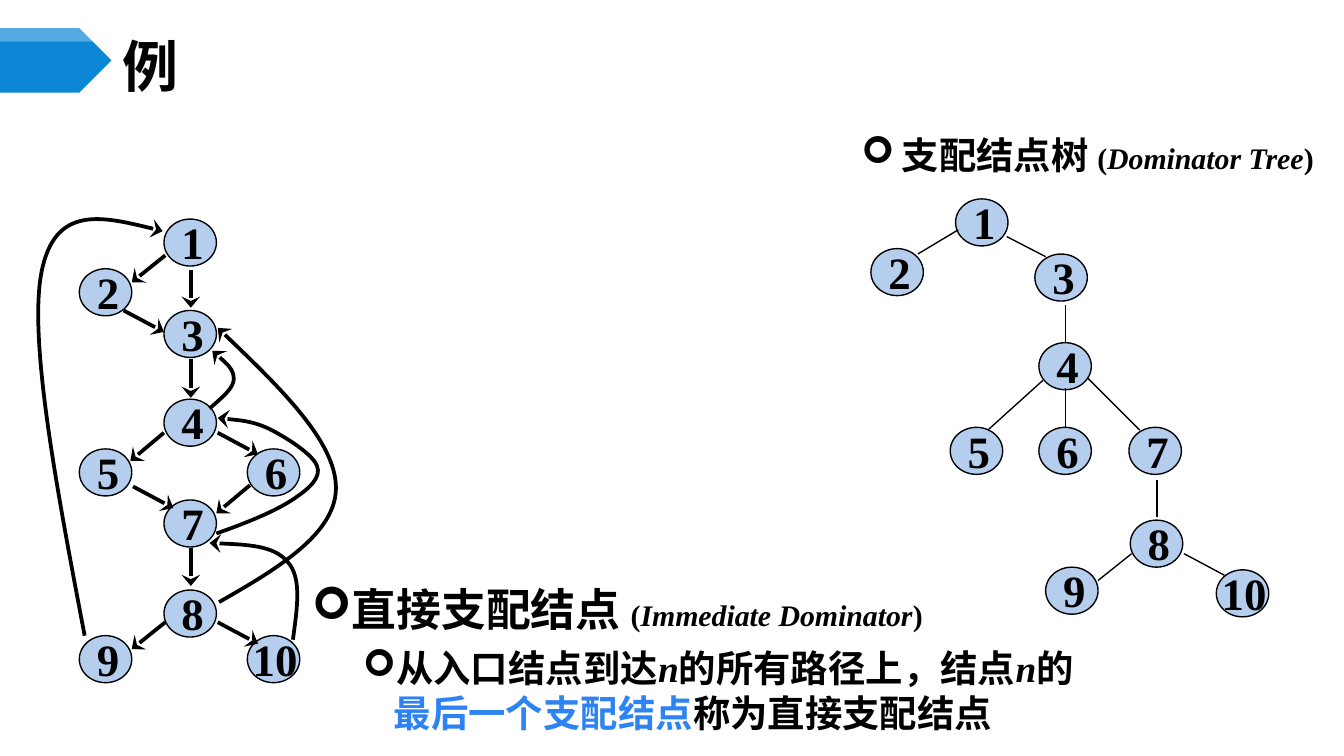
from lxml.etree import SubElement
from pptx import Presentation
from pptx.dml.color import RGBColor
from pptx.enum.shapes import MSO_CONNECTOR, MSO_SHAPE
from pptx.enum.text import MSO_ANCHOR
from pptx.oxml.ns import qn
from pptx.util import Inches, Pt

THEME = {
    "ink": RGBColor.from_string("000000"),
    "blue": RGBColor.from_string("0B87D6"),
    "white": RGBColor.from_string("FFFFFF"),
    "node": RGBColor.from_string("B5CEED"),
    "mark": RGBColor.from_string("2D83F4"),
    "title": Pt(30), "head": Pt(24), "body": Pt(20), "note": Pt(16),
    "hans": "Noto Sans CJK SC", "serif": "Times New Roman",
    "thick": Pt(2), "thin": Pt(0.75),
}

deck = Presentation()
deck.slide_width = Inches(10)
deck.slide_height = deck.slide_width * 9 // 16
slide = deck.slides.add_slide(deck.slide_layouts[6])
shapes = slide.shapes


def write(box, paras, anchor=MSO_ANCHOR.TOP):
    """Add a text box; each paragraph is (format, runs), each run (text, format)."""
    frame = shapes.add_textbox(*map(Inches, box)).text_frame
    margins = {"margin_left": 0.08, "margin_right": 0.08,
               "margin_top": 0.04, "margin_bottom": 0.04}
    for key, value in margins.items():
        setattr(frame, key, Inches(value))
    frame.word_wrap = True
    frame.vertical_anchor = anchor
    for i, (form, runs) in enumerate(paras):
        para = frame.paragraphs[0] if i == 0 else frame.add_paragraph()
        for key in ("space_before", "level"):
            if key in form:
                setattr(para, key, form[key])
        if "indent" in form:
            left, hang = form["indent"]
            props = para._p.get_or_add_pPr()
            props.set("marL", str(Inches(left)))
            props.set("indent", str(-Inches(hang)))
            tint = SubElement(props, qn("a:buClr"))
            SubElement(tint, qn("a:srgbClr"), val=str(THEME["ink"]))
            SubElement(props, qn("a:buFont"), typeface="Wingdings")
            SubElement(props, qn("a:buChar"), char="➢")
        for text, style in runs:
            run = para.add_run()
            run.text = text
            look = {"name": THEME["serif"], "bold": True, **style}
            run.font.color.rgb = look.pop("color", THEME["ink"])
            for key, value in look.items():
                setattr(run.font, key, value)
            SubElement(run._r.get_or_add_rPr(), qn("a:ea"), typeface=THEME["hans"])


def stroke(shape, width, arrow=False):
    shape.line.color.rgb = THEME["ink"]
    shape.line.width = width
    if arrow:
        SubElement(shape.line._get_or_add_ln(), qn("a:tailEnd"),
                   type="stealth", w="lg", len="med")


# Title banner
banner = [
    ("blue", [(0, 0.21), (0.59, 0.21), (0.83, 0.45), (0.59, 0.69), (0, 0.69)]),
    ("white", [(0, 0.21), (0.78, 0.21), (0.83, 0.26), (0.78, 0.31), (0, 0.31)]),
]
for color, points in banner:
    dots = [(Inches(x), Inches(y)) for x, y in points]
    pen = shapes.build_freeform(*dots[0])
    pen.add_line_segments(dots[1:])
    flag = pen.convert_to_shape()
    flag.shadow.inherit = False
    flag.fill.solid()
    flag.fill.fore_color.rgb = THEME[color]
    flag.line.fill.background()
glaze = flag._element.spPr.find(qn("a:solidFill")).find(qn("a:srgbClr"))
SubElement(glaze, qn("a:alpha"), val="30000")

# Text
hans = {"name": THEME["hans"]}
note = {"size": THEME["note"]}
body = {"size": THEME["body"]}
slant = {**body, "italic": True}
write((0.83, 0.29, 8.67, 0.39),
      [({}, [("例", {**hans, "size": THEME["title"]})])], MSO_ANCHOR.MIDDLE)
write((6.33, 0.94, 3.67, 0.55), [
    ({"indent": (0.3, 0.3)}, [
        ("支配结点树 ", {**hans, **body}), ("(", note),
        ("Dominator Tree", {**note, "italic": True}), (")", note)]),
])
write((2.24, 4.29, 6.08, 1.33), [
    ({"indent": (0.28, 0.28)}, [
        ("直接支配结点 ", {**hans, "size": THEME["head"]}), ("(", note),
        ("Immediate Dominator", {**note, "italic": True}), (")", note)]),
    ({"indent": (0.61, 0.23), "level": 1, "space_before": Pt(5)}, [
        ("从入口结点到达", body), ("n", slant), ("的所有路径上，结点", body),
        ("n", slant), ("的", body),
        ("最后一个支配结点", {**body, "color": THEME["mark"]}),
        ("称为直接支配结点", body)]),
])

# Nodes of the flow graph and of the dominator tree
west, mid, east = 0.59, 1.22, 1.84
flow = {1: (mid, 1.63), 2: (west, 2), 3: (mid, 2.31), 4: (mid, 2.97),
        5: (west, 3.34), 6: (east, 3.34), 7: (mid, 3.72), 8: (mid, 4.39),
        9: (west, 4.73), 10: (east, 4.73)}
tree = {1: (7.11, 1.48), 2: (6.48, 1.85), 3: (7.7, 1.89), 4: (7.73, 2.55),
        5: (7.07, 3.18), 6: (7.73, 3.18), 7: (8.4, 3.18), 8: (8.41, 3.87),
        9: (7.78, 4.22), 10: (9.05, 4.24)}
for graph in (flow, tree):
    for label, (x, y) in graph.items():
        node = shapes.add_shape(MSO_SHAPE.OVAL, Inches(x), Inches(y),
                                Inches(0.39), Inches(0.35))
        node.shadow.inherit = False
        node.fill.solid()
        node.fill.fore_color.rgb = THEME["node"]
        stroke(node, THEME["thin"])
        shift, width = (0.05, 0.25) if label < 10 else (-0.04, 0.58)
        write((x + shift, y - 0.07, width, 0.48),
              [({}, [(str(label), {"size": THEME["head"]})])])

# Straight edges
jumps = [
    (1.23, 1.9, 0.98, 2.1), (1.42, 2.01, 1.42, 2.29), (0.92, 2.31, 1.22, 2.47),
    (1.42, 2.67, 1.42, 2.96), (1.22, 3.22, 0.97, 3.43), (1.62, 3.22, 1.92, 3.38),
    (0.99, 3.62, 1.29, 3.78), (1.86, 3.61, 1.61, 3.82), (1.42, 4.08, 1.42, 4.36),
    (1.23, 4.63, 0.98, 4.83), (1.62, 4.63, 1.92, 4.79),
]
limbs = [
    (7.13, 1.71, 6.83, 1.89), (7.49, 1.76, 7.78, 1.91), (7.93, 2.27, 7.93, 2.55),
    (7.76, 2.83, 7.35, 3.2), (7.93, 2.89, 7.93, 3.18), (8.09, 2.81, 8.48, 3.2),
    (8.61, 3.57, 8.61, 3.85), (8.42, 4.12, 8.17, 4.32), (8.81, 4.12, 9.11, 4.28),
]
for edges, width, arrow in ((jumps, "thick", True), (limbs, "thin", False)):
    for ends in edges:
        edge = shapes.add_connector(MSO_CONNECTOR.STRAIGHT, *map(Inches, ends))
        stroke(edge, THEME[width], arrow)
        SubElement(edge._element.spPr, qn("a:effectLst"))

# Curved back edges: bounds, then start point and Bezier points
bends = [
    ((1.56, 2.61, 0.18, 0.43),
     [(1.56, 3.04), (1.65, 2.96), (1.74, 2.89), (1.74, 2.82),
      (1.74, 2.75), (1.66, 2.68), (1.58, 2.61)]),
    ((1.56, 4.04, 0.64, 0.72),
     [(2.18, 4.76), (2.21, 4.53), (2.25, 4.3), (2.14, 4.18),
      (2.04, 4.06), (1.8, 4.05), (1.56, 4.04)]),
    ((1.61, 3.11, 0.78, 0.86),
     [(1.61, 3.97), (1.84, 3.89), (2.06, 3.8), (2.19, 3.71),
      (2.31, 3.63), (2.39, 3.55), (2.36, 3.47),
      (2.33, 3.38), (2.12, 3.25), (2, 3.19),
      (1.87, 3.13), (1.62, 3.11), (1.62, 3.11)]),
    ((0.29, 1.64, 0.92, 3.1),
     [(0.63, 4.73), (0.42, 3.63), (0.21, 2.52), (0.31, 2.02),
      (0.41, 1.52), (0.81, 1.62), (1.21, 1.72)]),
    ((1.62, 2.44, 0.88, 2.04),
     [(1.63, 4.48), (2.07, 4.23), (2.5, 3.97), (2.5, 3.63),
      (2.5, 3.29), (2.06, 2.86), (1.62, 2.44)]),
]
for (left, top, width, height), points in bends:
    pen = shapes.build_freeform(Inches(left), Inches(top))
    pen.add_line_segments([(Inches(left + width), Inches(top + height))], close=False)
    bend = pen.convert_to_shape()
    bend.shadow.inherit = False
    bend.fill.background()
    stroke(bend, THEME["thick"], True)
    trace = bend._element.spPr.find(".//" + qn("a:path"))
    for step in list(trace):
        trace.remove(step)
    for i, (x, y) in enumerate(points):
        if i == 0:
            step = SubElement(trace, qn("a:moveTo"))
        elif i % 3 == 1:
            step = SubElement(trace, qn("a:cubicBezTo"))
        SubElement(step, qn("a:pt"), x=str(Inches(x - left)), y=str(Inches(y - top)))

deck.save("out.pptx")
